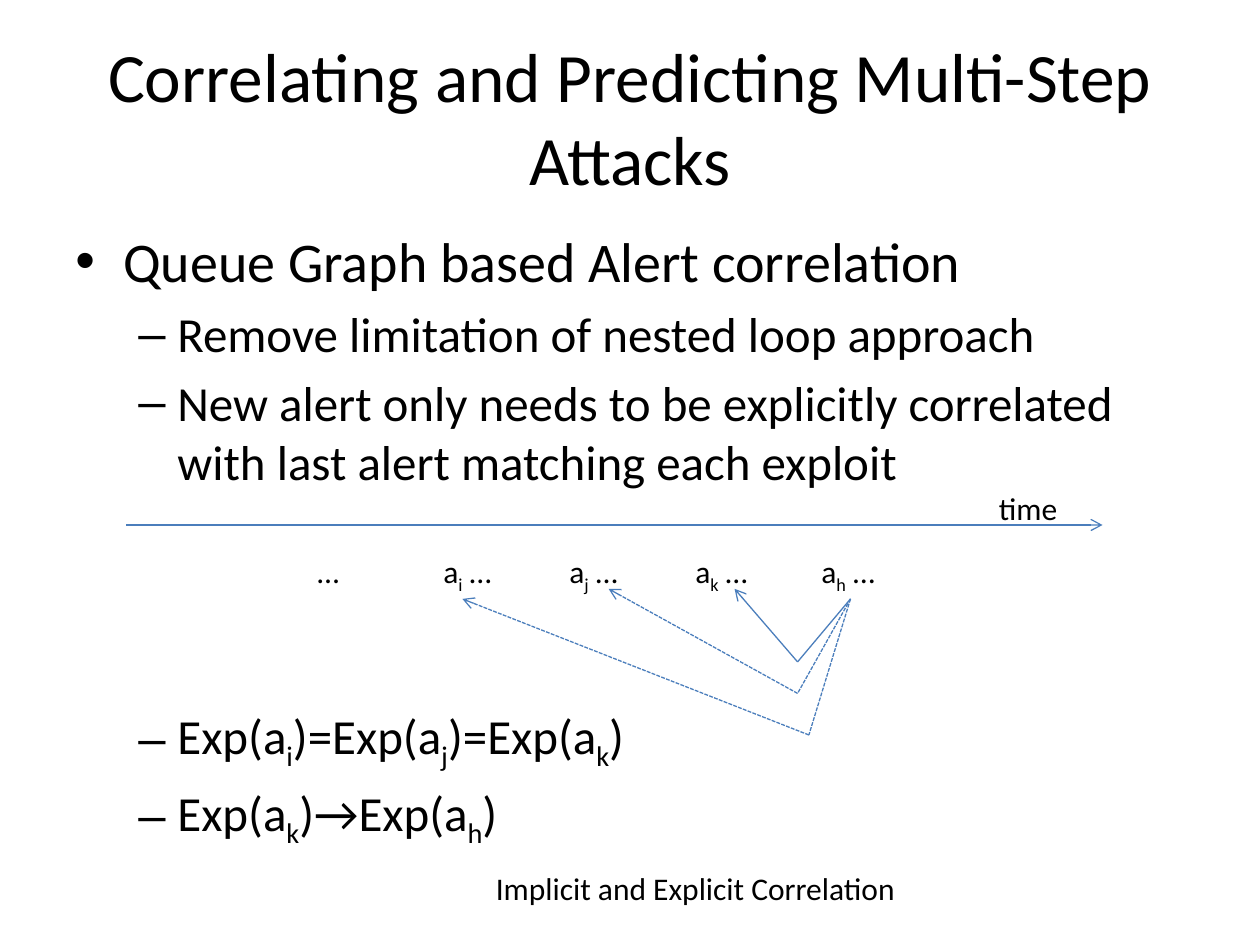
from dataclasses import dataclass
from lxml.etree import SubElement
from pptx import Presentation
from pptx.dml.color import RGBColor
from pptx.enum.dml import MSO_LINE
from pptx.enum.shapes import MSO_CONNECTOR
from pptx.enum.text import MSO_ANCHOR, PP_ALIGN
from pptx.oxml.ns import qn
from pptx.util import Inches, Pt


@dataclass(frozen=True)
class Theme:
    """Hold the colours, font and type sizes."""
    font: str = "Calibri"
    ink: RGBColor = RGBColor(0, 0, 0)
    line: RGBColor = RGBColor(0x4B, 0x7E, 0xBC)
    title: float = 39.6
    body: float = 32
    sub: float = 28
    note: float = 18
    stroke: float = 0.75


THEME = Theme()


def add_frame(slide, box, anchor=MSO_ANCHOR.TOP):
    """Add a wrapping text box and return its frame."""
    frame = slide.shapes.add_textbox(*map(Inches, box)).text_frame
    frame.word_wrap = True
    frame.vertical_anchor = anchor
    return frame


def add_runs(para, parts, size):
    """Add runs in turn, every second one a subscript."""
    for i, part in enumerate(parts):
        run = para.add_run()
        run.text = part
        font = run.font
        font.name, font.size = THEME.font, Pt(size)
        font.color.rgb = THEME.ink
        if i % 2:
            run._r.get_or_add_rPr().set("baseline", "-25000")


def add_label(slide, box, parts, size=THEME.note, align=PP_ALIGN.LEFT,
              anchor=MSO_ANCHOR.TOP, tabs=()):
    """Place a single paragraph in a box, with tab stops if given."""
    para = add_frame(slide, box, anchor).paragraphs[0]
    para.alignment = align
    if tabs:
        stops = SubElement(para._p.get_or_add_pPr(), qn("a:tabLst"))
        for stop in tabs:
            SubElement(stops, qn("a:tab"), pos=str(Inches(stop)), algn="l")
    add_runs(para, parts, size)


def add_list(slide, box, items):
    """Place a bulleted list of (level, parts) items in a box."""
    frame = add_frame(slide, box)
    styles = (("•", 0.38, 0.38, THEME.body), ("–", 0.81, 0.31, THEME.sub))
    for i, (level, parts) in enumerate(items):
        para = frame.add_paragraph() if i else frame.paragraphs[0]
        mark, left, hang, size = styles[level]
        props = para._p.get_or_add_pPr()
        props.set("marL", str(Inches(left)))
        props.set("indent", str(-Inches(hang)))
        SubElement(props, qn("a:buFont")).set("typeface", "Arial")
        SubElement(props, qn("a:buChar")).set("char", mark)
        para.level = level
        para.space_before = Pt(size * 0.2 if i else 0)
        add_runs(para, parts, size)


def add_line(slide, start, end, dash=False, arrow=False):
    """Draw a thin line, with a dash or an arrowhead on request."""
    line = slide.shapes.add_connector(
        MSO_CONNECTOR.STRAIGHT, *map(Inches, (*start, *end)))
    line.line.color.rgb = THEME.line
    line.line.width = Pt(THEME.stroke)
    if dash:
        line.line.dash_style = MSO_LINE.SQUARE_DOT
    if arrow:
        SubElement(line.line._get_or_add_ln(), qn("a:tailEnd")).set("type", "arrow")
    SubElement(line._element.spPr, qn("a:effectLst"))


def add_queue(slide, box):
    """Draw the time axis, the alerts and the links back from the last one."""
    x, y, wide, _ = box
    axis = y + 1 / 3
    add_line(slide, (x, axis), (x + wide, axis), arrow=True)
    add_label(slide, (x + 6.83, y, 1.42, 0.4), ["time"])
    alerts = ["… \ta", "i", " … \ta", "j", " … \ta", "k", " … \ta", "h", " …"]
    add_label(slide, (x + 1.42, y + 0.5, 5.67, 0.4), alerts, tabs=range(1, 5))
    links = (
        ((5.33, 1.42), (4.83, 0.84), False),
        ((5.33, 1.67), (3.83, 0.84), True),
        ((5.42, 2), (2.67, 0.92), True),
    )
    start = (x + 5.75, y + 0.92)
    for bend, tip, dash in links:
        bend, tip = ((x + a, y + b) for a, b in (bend, tip))
        add_line(slide, start, bend, dash)
        add_line(slide, bend, tip, dash, True)


def main():
    """Build and save the slide."""
    deck = Presentation()
    deck.slide_width, deck.slide_height = Inches(10), Inches(7.5)
    slide = deck.slides.add_slide(deck.slide_layouts[6])
    add_label(slide, (0.5, 0.3, 9, 1.25),
              ["Correlating and Predicting Multi-Step Attacks"],
              THEME.title, PP_ALIGN.CENTER, MSO_ANCHOR.MIDDLE)
    add_list(slide, (0.5, 1.75, 9, 2.2), [
        (0, ["Queue Graph based Alert correlation"]),
        (1, ["Remove limitation of nested loop approach"]),
        (1, ["New alert only needs to be explicitly correlated "
             "with last alert matching each exploit"]),
    ])
    add_queue(slide, (1, 23 / 6, 7.75, 2))
    add_list(slide, (0.5, 5.55, 9, 1.3), [
        (1, ["Exp(a", "i", ")=Exp(a", "j", ")=Exp(a", "k", ")"]),
        (1, ["Exp(a", "k", ")→Exp(a", "h", ")"]),
    ])
    add_label(slide, (2.46, 6.85, 6.12, 0.4),
              ["Implicit and Explicit Correlation"], align=PP_ALIGN.CENTER)
    deck.save("out.pptx")


if __name__ == "__main__":
    main()
